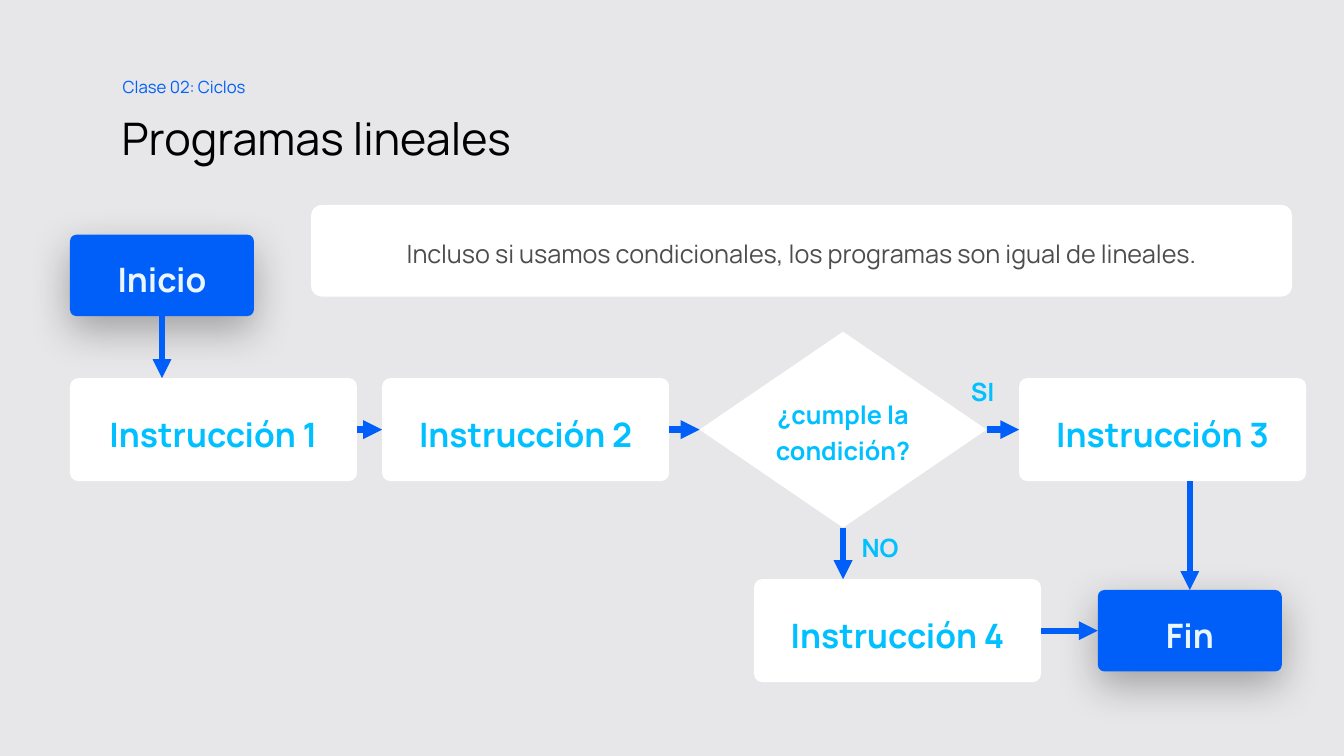
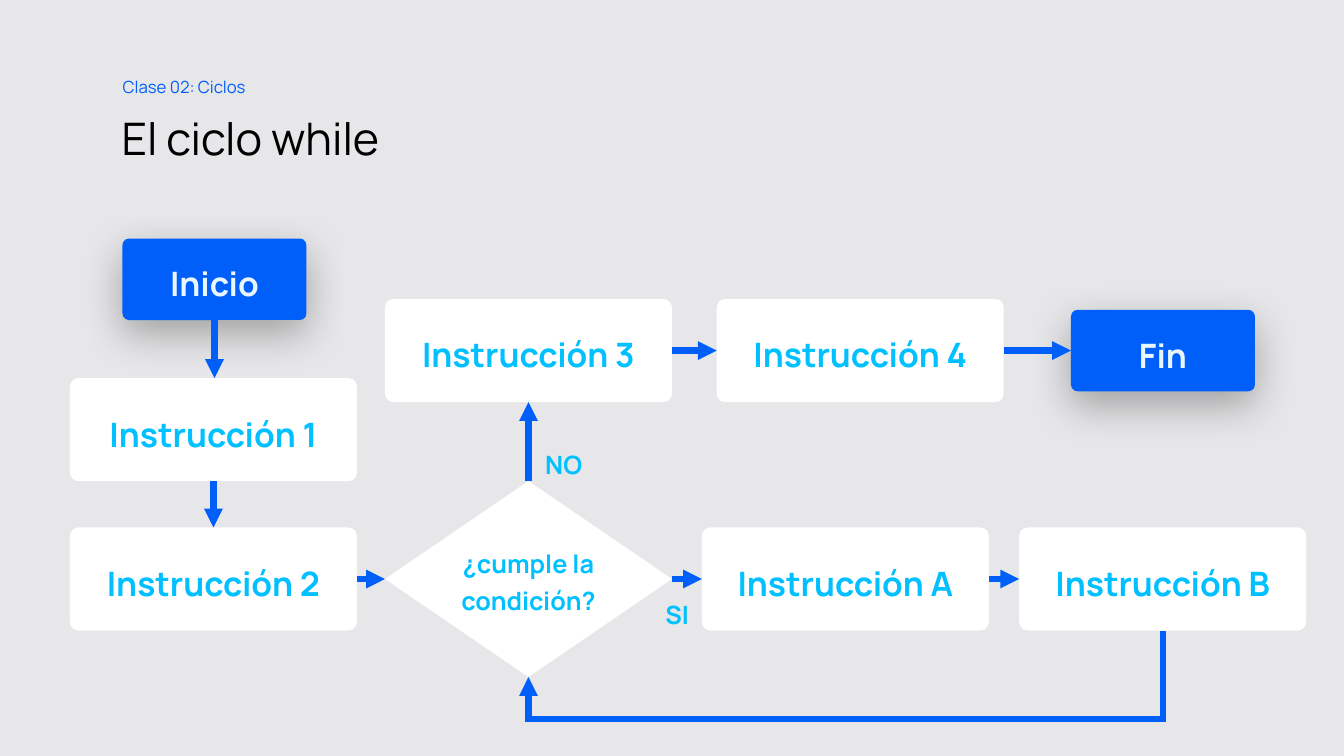
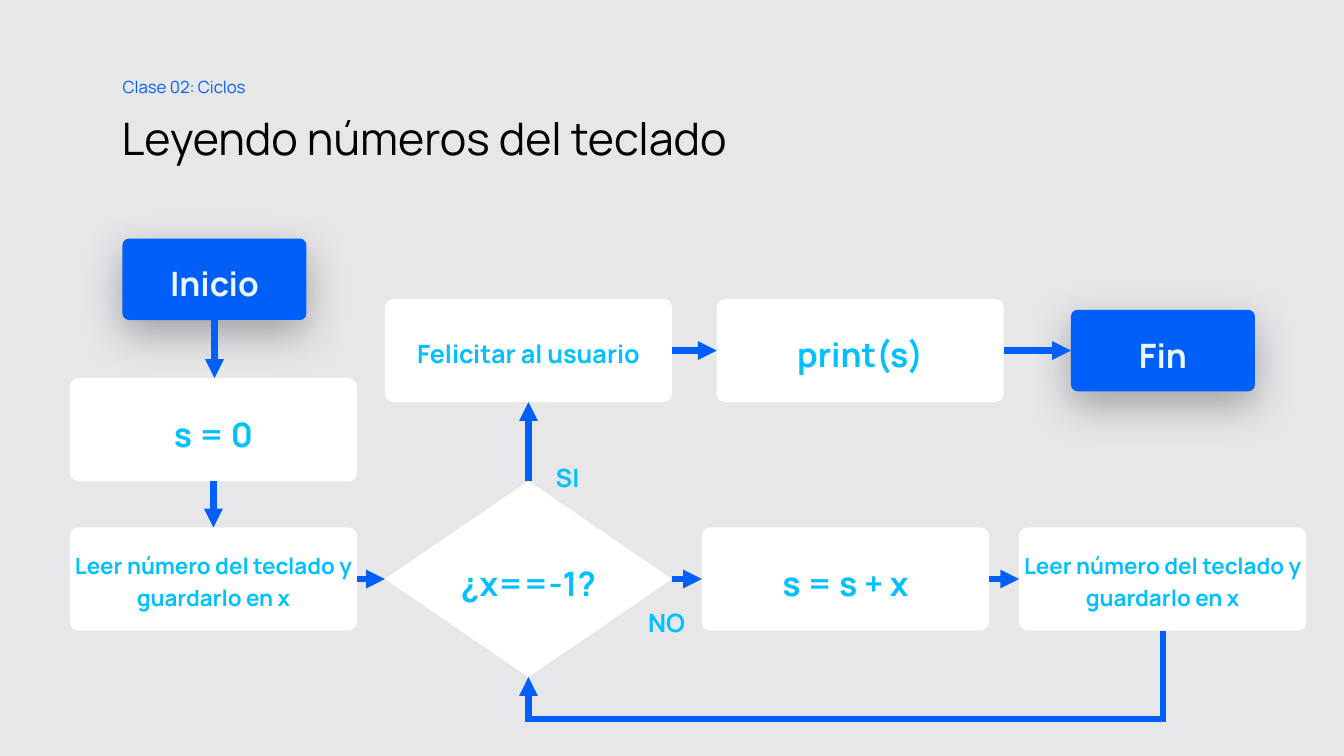
from lxml import etree
from pptx import Presentation
from pptx.dml.color import RGBColor
from pptx.enum import shapes, text
from pptx.oxml import ns
from pptx.util import Pt

FONT = "Manrope"
BACKGROUND = RGBColor(0xE7, 0xE7, 0xE9)
BLUE = RGBColor(0x00, 0x5F, 0xF9)
CYAN = RGBColor(0x00, 0xC0, 0xFF)
PALE = RGBColor(0xEA, 0xF6, 0xFF)
WHITE = RGBColor(0xFF, 0xFF, 0xFF)
BLACK = RGBColor(0, 0, 0)
GRAY = RGBColor(0x4D, 0x4D, 0x4D)

SECTION = "Clase 02: Ciclos"
BANNER = "Incluso si usamos condicionales, los programas son igual de lineales."
QUESTION = "¿cumple la condición?"
READ = "Leer número del teclado y guardarlo en x"

SIZES = {"button": (131.4, 58.2), "step": (205, 73.6), "decision": (205, 140)}
TOP, LEFT, BOTTOM, RIGHT = range(4)
DOWN, UP, ACROSS = (BOTTOM, TOP), (TOP, BOTTOM), (RIGHT, LEFT)
LOOP_BOTTOM = 513.4

LINEAR_NODES = {
    "start": ("button", 50, 196.7),
    "first": ("step", 50, 306.9),
    "second": ("step", 273, 306.9),
    "decision": ("decision", 499.7, 306.9),
    "third": ("step", 728, 306.9),
    "fourth": ("step", 538.6, 450.5),
    "end": ("button", 784.2, 450.5),
}
LINEAR_ARROWS = [
    ("start", "first", DOWN), ("first", "second", ACROSS),
    ("second", "decision", ACROSS), ("decision", "third", ACROSS),
    ("decision", "fourth", DOWN), ("third", "end", DOWN),
    ("fourth", "end", ACROSS),
]
LOOP_NODES = {
    "start": ("button", 87.5, 199.5),
    "first": ("step", 50, 306.9),
    "second": ("step", 50, 413.6),
    "decision": ("decision", 275, 413.6),
    "body": ("step", 501.4, 413.6),
    "repeat": ("step", 728, 413.6),
    "third": ("step", 275, 250.4),
    "fourth": ("step", 512, 250.4),
    "end": ("button", 765, 250.4),
}
LOOP_ARROWS = [
    ("start", "first", DOWN), ("first", "second", DOWN),
    ("second", "decision", ACROSS), ("decision", "body", ACROSS),
    ("body", "repeat", ACROSS), ("decision", "third", UP),
    ("third", "fourth", ACROSS), ("fourth", "end", ACROSS),
]

SLIDES = [
    {
        "title": "Programas lineales",
        "nodes": LINEAR_NODES,
        "arrows": LINEAR_ARROWS,
        "texts": {
            "first": ("Instrucción 1", 24), "second": ("Instrucción 2", 24),
            "decision": (QUESTION, 18), "third": ("Instrucción 3", 24),
            "fourth": ("Instrucción 4", 24),
        },
        "labels": [("SI", 676.8, 260.9), ("NO", 603.4, 372.7)],
        "banner": BANNER,
    },
    {
        "title": "El ciclo while",
        "nodes": LOOP_NODES,
        "arrows": LOOP_ARROWS,
        "texts": {
            "first": ("Instrucción 1", 24), "second": ("Instrucción 2", 24),
            "decision": (QUESTION, 18), "body": ("Instrucción A", 24),
            "repeat": ("Instrucción B", 24), "third": ("Instrucción 3", 24),
            "fourth": ("Instrucción 4", 24),
        },
        "labels": [("SI", 458.6, 420.5), ("NO", 377.5, 313.2)],
        "loop": ("repeat", "decision"),
    },
    {
        "title": "Leyendo números del teclado",
        "nodes": LOOP_NODES,
        "arrows": LOOP_ARROWS,
        "texts": {
            "first": ("s = 0", 24), "second": (READ, 16),
            "decision": ("¿x==-1?", 24), "body": ("s = s + x", 24),
            "repeat": (READ, 16), "third": ("Felicitar al usuario", 18),
            "fourth": ("print(s)", 24),
        },
        "labels": [("SI", 380.2, 322.6), ("NO", 451, 425.8)],
        "loop": ("repeat", "decision"),
    },
]
BUTTON_TEXTS = {"start": ("Inicio", 24), "end": ("Fin", 24)}


def write(shape, words, size, color, bold=False, align=text.PP_ALIGN.CENTER,
          spacing=1.2, before=10, margins=(0, 0, 0, 0),
          anchor=text.MSO_ANCHOR.MIDDLE):
    frame = shape.text_frame
    frame.word_wrap = True
    frame.auto_size = text.MSO_AUTO_SIZE.NONE
    frame.vertical_anchor = anchor
    (frame.margin_left, frame.margin_top,
     frame.margin_right, frame.margin_bottom) = map(Pt, margins)
    frame.text = words
    paragraph = frame.paragraphs[0]
    paragraph.alignment = align
    paragraph.line_spacing = spacing
    paragraph.space_before = Pt(before)
    paragraph.font.name = FONT
    paragraph.font.size = Pt(size)
    paragraph.font.bold = bold
    paragraph.font.color.rgb = color


def add_box(slide, preset, left, top, width, height, fill, corner=None):
    shape = slide.shapes.add_shape(preset, Pt(left), Pt(top), Pt(width), Pt(height))
    shape.shadow.inherit = False
    shape.fill.solid()
    shape.fill.fore_color.rgb = fill
    shape.line.fill.background()
    if corner is not None:
        shape.adjustments[0] = corner
    return shape


def add_shadow(shape):
    effects = shape._element.spPr.find(ns.qn("a:effectLst"))
    shadow = etree.SubElement(effects, ns.qn("a:outerShdw"), blurRad=str(Pt(30)),
                              dist=str(Pt(10)), dir="5400000", algn="t", rotWithShape="0")
    color = etree.SubElement(shadow, ns.qn("a:srgbClr"), val=str(BLACK))
    etree.SubElement(color, ns.qn("a:alpha"), val="30000")


def add_node(slide, kind, left, middle, words, size):
    width, height = SIZES[kind]
    is_button, is_decision = kind == "button", kind == "decision"
    preset = shapes.MSO_SHAPE.DIAMOND if is_decision else shapes.MSO_SHAPE.ROUNDED_RECTANGLE
    shape = add_box(slide, preset, left, middle - height / 2, width, height,
                    BLUE if is_button else WHITE, None if is_decision else 0.08)
    if is_button:
        add_shadow(shape)
    write(shape, words, size, PALE if is_button else CYAN, bold=True)
    return shape


def add_line(slide, kind, *ends):
    connector = slide.shapes.add_connector(kind, *ends)
    connector.line.color.rgb = BLUE
    connector.line.width = Pt(4.5)
    line = connector.line._get_or_add_ln()
    etree.SubElement(line, ns.qn("a:miter"), lim="800000")
    etree.SubElement(line, ns.qn("a:tailEnd"), type="triangle")
    etree.SubElement(connector._element.spPr, ns.qn("a:effectLst"))
    return connector


def site(shape, side):
    x = {LEFT: 0, RIGHT: shape.width}.get(side, shape.width // 2)
    y = {TOP: 0, BOTTOM: shape.height}.get(side, shape.height // 2)
    return shape.left + x, shape.top + y


def add_arrow(slide, start, end, sides):
    begin_site, end_site = site(start, sides[0]), site(end, sides[1])
    begin, finish = begin_site, end_site
    if sides != ACROSS:
        x = begin[0] if start.width <= end.width else finish[0]
        begin, finish = (x, begin[1]), (x, finish[1])
    connector = add_line(slide, shapes.MSO_CONNECTOR.STRAIGHT, *begin, *finish)
    if begin == begin_site:
        connector.begin_connect(start, sides[0])
    if finish == end_site:
        connector.end_connect(end, sides[1])


def add_loop(slide, start, end):
    (right, top), (left, bottom) = site(start, BOTTOM), site(end, BOTTOM)
    width, height = bottom - top, right - left
    x, y = (left + right - width) // 2, (top + bottom - height) // 2
    connector = add_line(slide, shapes.MSO_CONNECTOR.ELBOW, x, y, x + width, y + height)
    properties = connector._element.spPr
    properties.find(ns.qn("a:xfrm")).set("rot", "5400000")
    guides = properties.find(ns.qn("a:prstGeom")).get_or_add_avLst()
    bend = round((Pt(LOOP_BOTTOM) - top) / width * 100000)
    etree.SubElement(guides, ns.qn("a:gd"), name="adj1", fmla=f"val {bend}")


def add_label(slide, words, left, top):
    label = slide.shapes.add_textbox(Pt(left), Pt(top), Pt(50.4), Pt(33.8))
    write(label, words, 18, CYAN, bold=True, margins=(7.2, 3.6, 7.2, 3.6),
          anchor=text.MSO_ANCHOR.TOP)


def add_heading(slide, words):
    section = slide.shapes.add_textbox(Pt(87.6), Pt(48.2), Pt(102.2), Pt(24.5))
    write(section, SECTION, 12, BLUE, align=text.PP_ALIGN.LEFT,
          margins=(0, 3.6, 7.2, 3.6), anchor=text.MSO_ANCHOR.TOP)
    section.text_frame.word_wrap = False
    title = slide.shapes.title
    title.left, title.top, title.width, title.height = map(Pt, (86.8, 72, 781.2, 54))
    write(title, words, 32, BLACK, align=text.PP_ALIGN.LEFT, spacing=0.9, before=0,
          margins=(0, 7.2, 7.2, 3.6))


def build_slide(presentation, content):
    slide = presentation.slides.add_slide(presentation.slide_layouts[5])
    add_heading(slide, content["title"])
    texts = {**BUTTON_TEXTS, **content["texts"]}
    nodes = {name: add_node(slide, *place, *texts[name])
             for name, place in content["nodes"].items()}
    for start, end, sides in content["arrows"]:
        add_arrow(slide, nodes[start], nodes[end], sides)
    if "loop" in content:
        start, end = content["loop"]
        add_loop(slide, nodes[start], nodes[end])
    if "banner" in content:
        banner = add_box(slide, shapes.MSO_SHAPE.ROUNDED_RECTANGLE,
                         222.3, 146.4, 700.6, 65.4, WHITE, 0.116)
        write(banner, content["banner"], 18, GRAY, margins=(20, 0, 20, 0))
    for label in content["labels"]:
        add_label(slide, *label)


presentation = Presentation()
presentation.slide_width, presentation.slide_height = Pt(960), Pt(540)
background = presentation.slide_master.background.fill
background.solid()
background.fore_color.rgb = BACKGROUND
for content in SLIDES:
    build_slide(presentation, content)
presentation.save("out.pptx")
